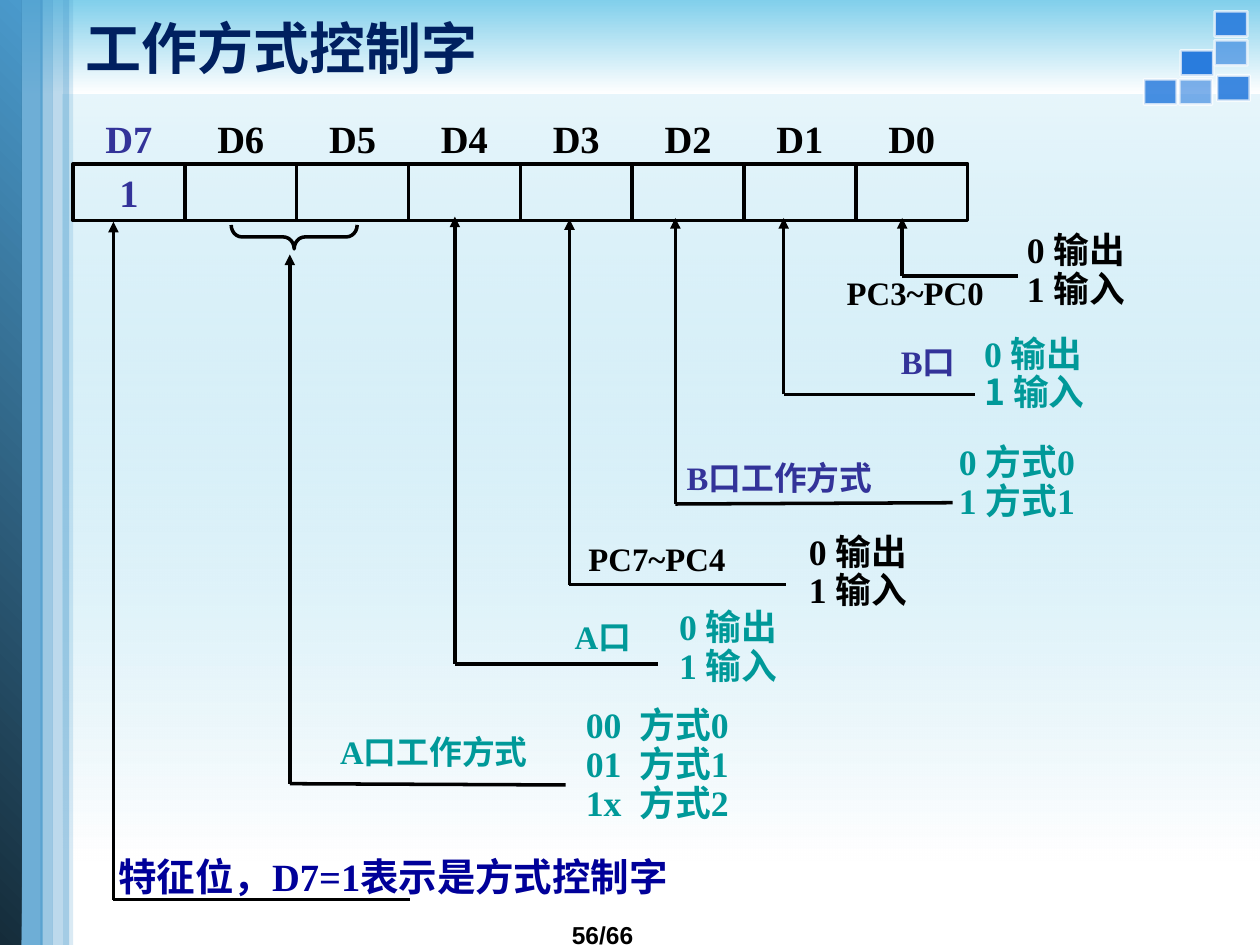
from dataclasses import dataclass
from typing import Any

from lxml import etree
from pptx import Presentation
from pptx.dml.color import RGBColor
from pptx.enum import shapes, text
from pptx.oxml import ns
from pptx.util import Inches, Pt

BLACK = RGBColor(0, 0, 0)
WHITE = RGBColor(255, 255, 255)
SKY = RGBColor(0x81, 0xCF, 0xEB)
STEEL = RGBColor(0x4A, 0x9A, 0xCC)
DEEP = RGBColor(0x15, 0x2C, 0x3A)
TILE = RGBColor(0x29, 0x7C, 0xDD)
NAVY = RGBColor(0x00, 0x20, 0x60)
INDIGO = RGBColor(0x33, 0x33, 0x99)
TEAL = RGBColor(0x00, 0x99, 0x99)
BLUE = RGBColor(0x00, 0x00, 0x99)

SERIF = "Times New Roman"
CJK = "Noto Sans CJK SC"
LABEL_SIZE, OPTION_SIZE = 18.7, 20.4
JUSTIFY, CENTER = text.PP_ALIGN.JUSTIFY, text.PP_ALIGN.CENTER

BITS = ["D7", "D6", "D5", "D4", "D3", "D2", "D1", "D0"]
REGISTER_LEFT, REGISTER_TOP, BIT_WIDTH = 0.58, 1.3, 7.1 / 8
DIRECTIONS = ["0 输出", "1 输入"]

# arrow x, arrow top, corner y, line end (x, y),
# label, its box and colour, options, their box and colour
BRANCHES = [
    (7.16, 1.73, 2.19, (8.08, 2.19), "PC3~PC0", (6.6, 2.2, 1.69, 0.32), BLACK,
     DIRECTIONS, (8.03, 1.85, 1.27, 0.68), BLACK),
    (6.22, 1.73, 3.13, (7.74, 3.13), "B口", (7.03, 2.75, 0.9, 0.33), INDIGO,
     [[("0 ", SERIF), ("输出", CJK)], [("1 输入", CJK)]],
     (7.69, 2.67, 1.26, 0.68), TEAL),
    (5.36, 1.73, 4, (7.56, 3.99), "B口工作方式", (5.33, 3.67, 2.19, 0.32), INDIGO,
     ["0 方式0", "1 方式1"], (7.49, 3.53, 1.59, 0.67), TEAL),
    (4.52, 1.74, 4.64, (6.24, 4.64), "PC7~PC4", (4.55, 4.31, 1.69, 0.33), BLACK,
     DIRECTIONS, (6.3, 4.24, 1.27, 0.68), BLACK),
    (3.61, 1.72, 5.27, (5.22, 5.27), "A口", (4.44, 4.93, 1.01, 0.32), TEAL,
     DIRECTIONS, (5.27, 4.84, 1.27, 0.67), TEAL),
    (2.3, 2.02, 6.22, (4.49, 6.23), "A口工作方式", (2.58, 5.84, 2.19, 0.33), TEAL,
     ["00  方式0", "01  方式1", "1x  方式2"], (4.53, 5.62, 1.73, 1.04), TEAL),
]


def set_alpha(color_parent, percent):
    """Make the first colour below the given element translucent."""
    color = next(color_parent.iter(ns.qn("a:srgbClr")))
    etree.SubElement(color, ns.qn("a:alpha"), val=str(percent * 1000))


@dataclass
class Canvas:
    slide: Any
    line_color: RGBColor = BLACK
    line_width: float = 2

    def shape(self, kind, box):
        shape = self.slide.shapes.add_shape(kind, *map(Inches, box))
        shape.shadow.inherit = False
        shape.fill.background()
        shape.line.fill.background()
        return shape

    def outline(self, kind, box):
        shape = self.shape(kind, box)
        shape.line.color.rgb = self.line_color
        shape.line.width = Pt(self.line_width)
        return shape

    def panel(self, box, color, alpha=100):
        panel = self.shape(shapes.MSO_SHAPE.RECTANGLE, box)
        panel.fill.solid()
        panel.fill.fore_color.rgb = color
        if alpha < 100:
            set_alpha(panel._element.spPr.find(ns.qn("a:solidFill")), alpha)
        return panel

    def gradient(self, box, start, end, angle, start_alpha=100):
        panel = self.shape(shapes.MSO_SHAPE.RECTANGLE, box)
        panel.fill.gradient()
        panel.fill.gradient_angle = angle
        for stop, color, position in zip(panel.fill.gradient_stops, (start, end), (0, 1)):
            stop.color.rgb = color
            stop.position = position
        if start_alpha < 100:
            set_alpha(panel._element.spPr.find(ns.qn("a:gradFill")), start_alpha)

    def tile(self, box, alpha):
        tile = self.panel(box, TILE, alpha)
        tile.line.color.rgb = WHITE
        tile.line.width = Pt(1.5)
        set_alpha(tile._element.spPr.find(ns.qn("a:ln")), 70)

    def fill_text(self, frame, lines, size, color, font=SERIF, align=None,
                  spacing=None, insets=(0.12, 0, 0, 0)):
        """Fill a frame; a line is a string or a list of (text, font) runs."""
        (frame.margin_left, frame.margin_top,
         frame.margin_right, frame.margin_bottom) = map(Inches, insets)
        for index, line in enumerate(lines):
            paragraph = frame.add_paragraph() if index else frame.paragraphs[0]
            paragraph.alignment = align
            paragraph.line_spacing = spacing
            runs = [(line, font)] if isinstance(line, str) else line
            for words, run_font in runs:
                run = paragraph.add_run()
                run.text = words
                if len(runs) > 1:
                    run.font.name = run_font
            if len(runs) == 1:
                paragraph.font.name = runs[0][1]
            paragraph.font.size = Pt(size)
            paragraph.font.bold = True
            paragraph.font.color.rgb = color

    def text(self, box, lines, size, color, wrap=True,
             anchor=text.MSO_ANCHOR.TOP, **style):
        frame = self.slide.shapes.add_textbox(*map(Inches, box)).text_frame
        frame.word_wrap = wrap
        frame.vertical_anchor = anchor
        self.fill_text(frame, lines, size, color, **style)

    def line(self, start, end, arrow=False):
        line = self.slide.shapes.add_connector(
            shapes.MSO_CONNECTOR.STRAIGHT, *map(Inches, (*start, *end)))
        line.line.color.rgb = self.line_color
        line.line.width = Pt(self.line_width)
        properties = line._element.spPr
        if arrow:
            etree.SubElement(properties.find(ns.qn("a:ln")), ns.qn("a:tailEnd"),
                             type="triangle")
        etree.SubElement(properties, ns.qn("a:effectLst"))

    def elbow(self, x, top, corner_y, end):
        """Draw a line from the corner to its end and an arrow up to the bit."""
        self.line((x, corner_y), end)
        self.line((x, corner_y), (x, top), arrow=True)


def draw_background(canvas):
    canvas.gradient((0.5, 0.75, 9.5, 6.08), SKY, WHITE, 270, start_alpha=19)
    canvas.gradient((0, 0, 10, 0.75), SKY, WHITE, 270)
    for left, top, alpha in [(9.66, 0.6, 90), (9.36, 0.63, 60), (9.08, 0.63, 85),
                             (9.37, 0.4, 100), (9.64, 0.32, 60), (9.64, 0.09, 90)]:
        canvas.tile((left, top, 0.26, 0.2), alpha)
    canvas.panel((0.11, 0, 0.23, 7.5), STEEL, 80)
    canvas.gradient((0, 0, 0.17, 7.5), DEEP, STEEL, 45)
    for left, width, alpha in [(0.5, 0.08, 20), (0.32, 0.1, 54), (0.42, 0.13, 37)]:
        canvas.panel((left, 0, width, 7.5), STEEL, alpha)


def draw_register(canvas):
    for index, bit in enumerate(BITS):
        left = REGISTER_LEFT + index * BIT_WIDTH
        cell = canvas.outline(shapes.MSO_SHAPE.RECTANGLE,
                              (left, REGISTER_TOP, BIT_WIDTH, 0.45))
        if bit == "D7":
            cell.text_frame.vertical_anchor = text.MSO_ANCHOR.TOP
            canvas.fill_text(cell.text_frame, ["1"], 22, INDIGO, align=CENTER,
                             insets=(0, 0.04, 0, 0))
        canvas.text((left, 0.83, BIT_WIDTH, 0.55), [bit], 22,
                    INDIGO if bit == "D7" else BLACK, align=CENTER,
                    insets=(0, 0.08, 0, 0))


def draw_branches(canvas):
    for (x, top, corner_y, end, label, label_box, label_color,
         options, options_box, options_color) in BRANCHES:
        canvas.elbow(x, top, corner_y, end)
        canvas.text(label_box, [label], LABEL_SIZE, label_color,
                    align=JUSTIFY, spacing=0.9)
        canvas.text(options_box, options, OPTION_SIZE, options_color,
                    align=JUSTIFY, spacing=0.9)
    mode_brace = canvas.outline(shapes.MSO_SHAPE.LEFT_BRACE, (2.24, 1.38, 0.19, 1))
    mode_brace.rotation = 270
    mode_brace.adjustments[0] = 0.45
    canvas.elbow(0.9, 1.76, 7.14, (3.25, 7.14))
    canvas.text((0.82, 6.77, 5.12, 0.4), ["特征位，D7=1表示是方式控制字"], 22, BLUE,
                align=JUSTIFY)


def main():
    deck = Presentation()
    deck.slide_width, deck.slide_height = Inches(10), Inches(7.5)
    canvas = Canvas(deck.slides.add_slide(deck.slide_layouts[6]))
    margins = (0.1, 0.05, 0.1, 0.05)
    draw_background(canvas)
    canvas.text((4.44, 7.25, 1.41, 0.34), ["56/66"], 14, BLACK, wrap=False,
                font="Arial", insets=margins)
    canvas.text((0.58, 0, 9.42, 0.75), ["工作方式控制字"], 32, NAVY, font="Calibri",
                anchor=text.MSO_ANCHOR.MIDDLE, insets=margins)
    draw_register(canvas)
    draw_branches(canvas)
    deck.save("out.pptx")


if __name__ == "__main__":
    main()
